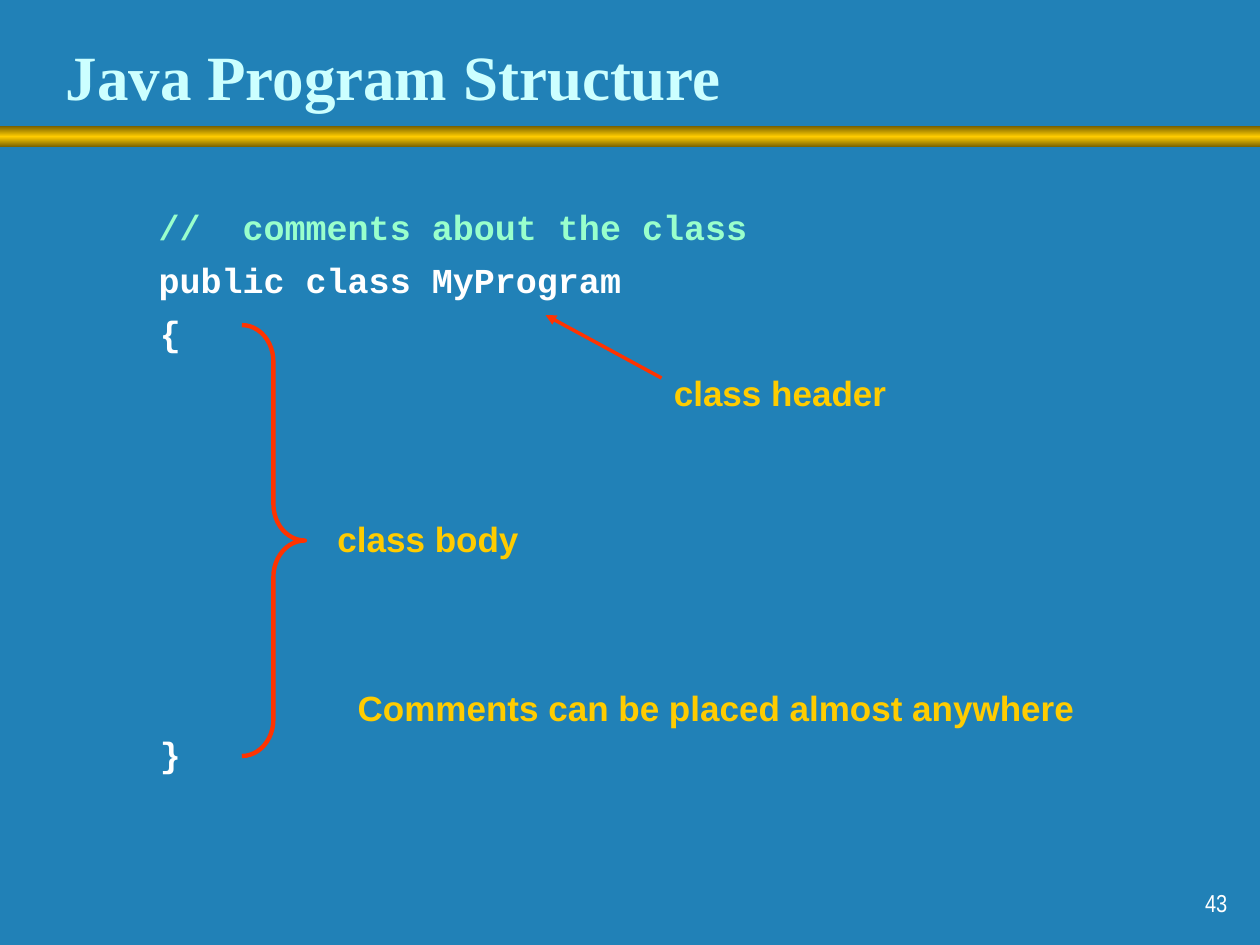
from copy import deepcopy
from typing import NamedTuple

from lxml.etree import SubElement
from pptx import Presentation
from pptx.dml.color import RGBColor
from pptx.enum.shapes import MSO_CONNECTOR, MSO_SHAPE
from pptx.enum.text import MSO_ANCHOR, MSO_AUTO_SIZE, PP_ALIGN
from pptx.oxml.ns import qn
from pptx.util import Inches, Pt

COLORS = {
    "background": "2181B7",
    "title": "CCFFFF",
    "code": "FFFFFF",
    "comment": "99FFCC",
    "label": "FFCC00",
    "marker": "FF3300",
    "band_edge": "755E00",
    "band_middle": "FFCC00",
}
CODE_FONT = "Courier New"
LABEL_FONT = "Arial"


class Caption(NamedTuple):
    text: str
    left: float
    top: float
    width: float
    font: str
    color: str
    height: float = 0.44


# Widths leave a little room so that every line stays whole
CAPTIONS = [
    Caption("//  comments about the class", 1.16, 1.58, 4.92, CODE_FONT, "comment"),
    Caption("public class MyProgram", 1.16, 2, 3.92, CODE_FONT, "code"),
    Caption("{\n}", 1.17, 2.42, 0.4, CODE_FONT, "code", 3.77),
    Caption("class header", 5.25, 2.9, 1.93, LABEL_FONT, "label"),
    Caption("class body", 2.58, 4.06, 1.69, LABEL_FONT, "label"),
    Caption("Comments can be placed almost anywhere", 2.74, 5.4, 5.94, LABEL_FONT, "label"),
]


def rgb(name: str) -> RGBColor:
    return RGBColor.from_string(COLORS[name])


def format_text(frame, font: str, size: float, color: str, bold: bool = True) -> None:
    for paragraph in frame.paragraphs:
        for run in paragraph.runs:
            run.font.name = font
            run.font.size = Pt(size)
            run.font.bold = bold
            run.font.color.rgb = rgb(color)


def add_caption(slide, caption: Caption):
    box = slide.shapes.add_textbox(Inches(caption.left), Inches(caption.top),
                                   Inches(caption.width), Inches(caption.height))
    frame = box.text_frame
    frame.word_wrap = True
    frame.auto_size = MSO_AUTO_SIZE.SHAPE_TO_FIT_TEXT
    frame.text = caption.text
    format_text(frame, caption.font, 20, caption.color)
    return box


def add_band(slide) -> None:
    band = slide.shapes.add_shape(MSO_SHAPE.RECTANGLE, 0, Inches(1), Inches(10), Inches(0.17))
    band.shadow.inherit = False
    band.line.fill.background()
    band.fill.gradient()
    band.fill.gradient_angle = 90
    for stop in band.fill.gradient_stops:
        stop.color.rgb = rgb("band_edge")
    # Middle stop, between the two dark edges
    stops = band._element.spPr.find(qn("a:gradFill")).find(qn("a:gsLst"))
    stops.insert(1, deepcopy(stops[0]))
    middle = band.fill.gradient_stops[1]
    middle.position = 0.5
    middle.color.rgb = rgb("band_middle")


def add_body_brace(slide) -> None:
    brace = slide.shapes.add_shape(MSO_SHAPE.RIGHT_BRACE, Inches(1.92), Inches(2.58),
                                   Inches(0.5), Inches(3.42))
    brace.adjustments[0] = 0.58
    brace.shadow.inherit = False
    brace.fill.background()
    brace.line.color.rgb = rgb("marker")
    brace.line.width = Pt(2.5)


def add_header_arrow(slide) -> None:
    arrow = slide.shapes.add_connector(MSO_CONNECTOR.STRAIGHT, Inches(5.25), Inches(3),
                                       Inches(4.33), Inches(2.5))
    arrow.line.color.rgb = rgb("marker")
    arrow.line.width = Pt(2)
    SubElement(arrow.line._get_or_add_ln(), qn("a:tailEnd"), type="triangle")
    SubElement(arrow._element.spPr, qn("a:effectLst"))


def add_page_number(slide, number: str) -> None:
    box = slide.shapes.add_textbox(Inches(7.76), Inches(6.83), Inches(2.08), Inches(0.5))
    frame = box.text_frame
    frame.word_wrap = True
    frame.vertical_anchor = MSO_ANCHOR.BOTTOM
    frame.text = number
    frame.paragraphs[0].alignment = PP_ALIGN.RIGHT
    format_text(frame, "Arial Narrow", 14, "code", bold=False)


def main() -> None:
    deck = Presentation()
    deck.slide_width, deck.slide_height = Inches(10), Inches(7.5)
    slide = deck.slides.add_slide(deck.slide_layouts[5])
    slide.background.fill.solid()
    slide.background.fill.fore_color.rgb = rgb("background")

    # Heading
    add_band(slide)
    title = slide.shapes.title
    title.left, title.top = Inches(0.42), Inches(0.22)
    title.width, title.height = Inches(8.55), Inches(0.75)
    title.text_frame.text = "Java Program Structure"
    title.text_frame.vertical_anchor = MSO_ANCHOR.MIDDLE
    title.text_frame.paragraphs[0].alignment = PP_ALIGN.LEFT
    format_text(title.text_frame, "Times New Roman", 36, "title")

    # Code and its labels
    for caption in CAPTIONS:
        box = add_caption(slide, caption)
        if caption.text.startswith("{"):
            closing_brace = box.text_frame.paragraphs[1]
            closing_brace.space_before = Pt(216.5)

    # Markers
    add_body_brace(slide)
    add_header_arrow(slide)
    add_page_number(slide, "43")

    deck.save("out.pptx")


if __name__ == "__main__":
    main()
